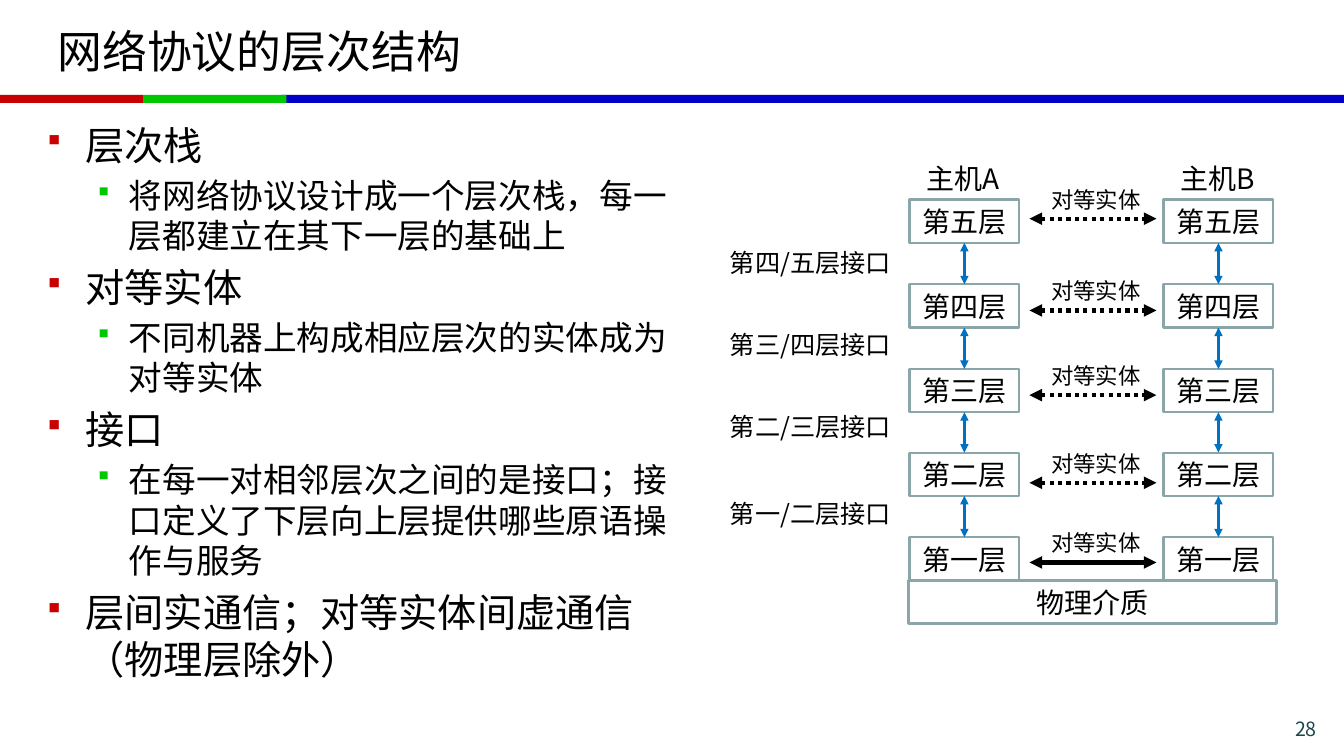
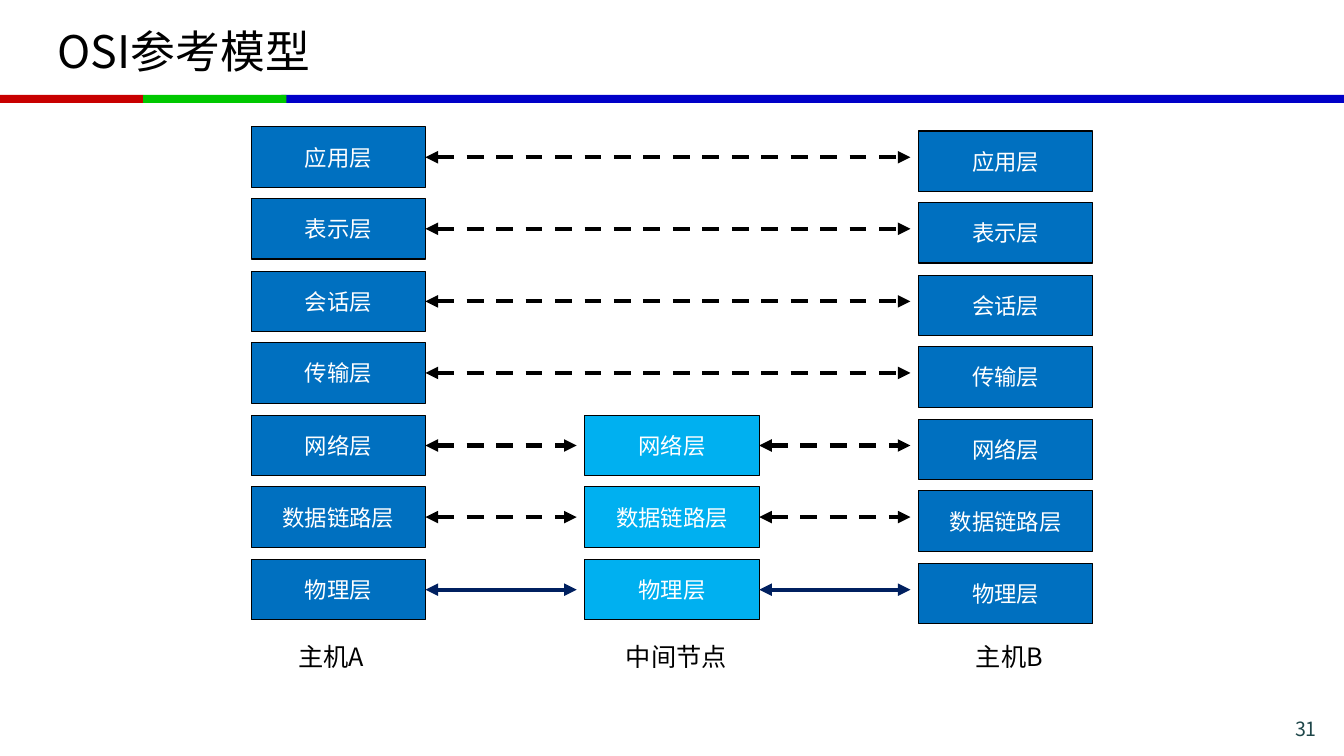
from pptx import Presentation
from pptx.dml.color import RGBColor as RGB
from pptx.enum.dml import MSO_LINE as Dash
from pptx.enum.shapes import MSO_CONNECTOR as Conn, MSO_SHAPE as Kind
from pptx.enum.text import MSO_ANCHOR as Anchor, PP_ALIGN as Align
from pptx.oxml.ns import qn
from pptx.util import Emu, Pt
from lxml.etree import SubElement as Sub

PX = 9144
FONT = "Noto Sans CJK SC"
BLACK = RGB(0, 0, 0)
WHITE = RGB(255, 255, 255)
RED = RGB(0xC8, 0, 0)
GREEN = RGB(0, 0xC8, 0)
BLUE = RGB(0, 0, 0xC8)
TEAL = RGB(0x1E, 0x46, 0x49)
GRAY = RGB(0x8A, 0xA6, 0xA8)
AZURE = RGB(0, 0x70, 0xC0)
SKY = RGB(0, 0xB0, 0xF0)
NAVY = RGB(0, 0x20, 0x60)

BANDS = [(279, 1054, BLUE), (0, 142, RED), (142, 142, GREEN)]
LEVELS = [(28, 38, 38, RED), (24, 81, 31, GREEN)]
POINTS = [
    (0, "层次栈"),
    (1, "将网络协议设计成一个层次栈，每一层都建立在其下一层的基础上"),
    (0, "对等实体"),
    (1, "不同机器上构成相应层次的实体成为对等实体"),
    (0, "接口"),
    (1, "在每一对相邻层次之间的是接口；接口定义了下层向上层提供哪些原语操作与服务"),
    (0, "层间实通信；对等实体间虚通信（物理层除外）"),
]
STACK = ["第五层", "第四层", "第三层", "第二层", "第一层"]
PEERS = [217, 308, 392, 479, 558]
JOINTS = [
    (240, "第四/五层接口"),
    (322, "第三/四层接口"),
    (403, "第二/三层接口"),
    (489, "第一/二层接口"),
]
OSI = ["应用层", "表示层", "会话层", "传输层", "网络层", "数据链路层", "物理层"]


def px(*nums):
    return [Emu(round(n * PX)) for n in nums]


def write(para, text, size, color=BLACK, align=Align.LEFT):
    para.alignment = align
    run = para.add_run()
    run.text = text
    font = run.font
    font.size = Pt(size)
    font.color.rgb = color
    font.name = FONT
    Sub(font._element, qn("a:ea"), typeface=FONT)


def label(slide, at, text, size, color=BLACK, align=Align.LEFT):
    frame = slide.shapes.add_textbox(*px(*at)).text_frame
    frame.word_wrap = True
    write(frame.paragraphs[0], text, size, color, align)
    return frame


def block(slide, at, fill, edge=None, width=0):
    shape = slide.shapes.add_shape(Kind.RECTANGLE, *px(*at))
    shape.shadow.inherit = False
    shape.fill.solid()
    shape.fill.fore_color.rgb = fill
    if edge is None:
        shape.line.fill.background()
    else:
        shape.line.color.rgb = edge
        shape.line.width = Pt(width)
    return shape


def node(slide, at, text, size, color, fill, edge, width, wrap=True):
    shape = block(slide, at, fill, edge, width)
    frame = shape.text_frame
    frame.word_wrap = wrap
    frame.vertical_anchor = Anchor.MIDDLE
    write(frame.paragraphs[0], text, size, color, Align.CENTER)
    return shape


def arrow(slide, ends, color, width, dash=None, start=None, stop=None):
    link = slide.shapes.add_connector(Conn.STRAIGHT, *px(*ends))
    if start:
        link.begin_connect(*start)
    if stop:
        link.end_connect(*stop)
    line = link.line
    line.color.rgb = color
    line.width = Pt(width)
    if dash:
        line.dash_style = dash
    props = link._element.spPr
    for tag in ("a:headEnd", "a:tailEnd"):
        Sub(props.find(qn("a:ln")), qn(tag), type="triangle")
    Sub(props, qn("a:effectLst"))


def page(deck, title, number):
    slide = deck.slides.add_slide(deck.slide_layouts[5])
    for left, width, color in BANDS:
        block(slide, (left, 94, width, 8), color)
    head = slide.shapes.title
    head.left, head.top, head.width, head.height = px(47, 8, 1239, 84)
    head.text_frame.vertical_anchor = Anchor.MIDDLE
    write(head.text_frame.paragraphs[0], title, 32)
    label(slide, (1186, 706, 130, 28), number, 14, TEAL, Align.RIGHT)
    return slide


def bullet(para, level):
    size, left, hang, color = LEVELS[level]
    props = para._p.get_or_add_pPr()
    props.set("marL", str(left * PX))
    props.set("indent", str(-hang * PX))
    Sub(Sub(props, qn("a:buClr")), qn("a:srgbClr"), val=str(color))
    Sub(props, qn("a:buSzPct"), val="80000")
    Sub(props, qn("a:buFont"), typeface="Wingdings")
    Sub(props, qn("a:buChar"), char="§")
    return size


def outline(slide):
    frame = slide.shapes.add_textbox(*px(37, 115, 661, 595)).text_frame
    frame.word_wrap = True
    for i, (level, text) in enumerate(POINTS):
        para = frame.add_paragraph() if i else frame.paragraphs[0]
        size = bullet(para, level)
        para.level = level
        if i:
            para.space_before = Pt(size * 0.2)
        write(para, text, size)


def tower(slide, left, host):
    label(slide, (left + 7, 155, 102, 44), host, 20)
    above = None
    for i, text in enumerate(STACK):
        top = round(198 + 83.75 * i)
        box = node(slide, (left, top, 109, 43), text, 20, BLACK, WHITE, GRAY, 1.5)
        if above:
            arrow(slide, (left, top, left, top), AZURE, 2,
                  start=(above, 2), stop=(box, 0))
        above = box


def layers(deck):
    slide = page(deck, "网络协议的层次结构", "28")
    outline(slide)
    tower(slide, 902, "主机A")
    node(slide, (901, 576, 365, 43), "物理介质", 20, BLACK, WHITE, GRAY, 2)
    tower(slide, 1154, "主机B")
    for top, text in JOINTS:
        label(slide, (714, top, 201, 44), text, 18)
    for y in PEERS:
        dash = None if y == PEERS[-1] else Dash.ROUND_DOT
        arrow(slide, (1021, y, 1147, y), BLACK, 3, dash)
        frame = label(slide, (1027, y - 50, 120, 44), "对等实体", 16,
                      align=Align.CENTER)
        frame.margin_left, frame.margin_top = px(4, 4)
        frame.margin_right, frame.margin_bottom = px(4, 4)
        frame.paragraphs[0].line_spacing = 1.5


def column(slide, left, top, fill, first=0):
    return {
        i: node(slide, (left, top + 143 * i // 2, 173, 60), OSI[i], 16,
                WHITE, fill, BLACK, 0.75, False)
        for i in range(first, len(OSI))
    }


def model(deck):
    slide = page(deck, "OSI参考模型", "31")
    host = column(slide, 249, 126, AZURE)
    relay = column(slide, 580, 126, SKY, 4)
    column(slide, 911, 130, AZURE)
    for i, box in host.items():
        y = 156 + 143 * i // 2
        color, dash = (NAVY, None) if i == 6 else (BLACK, Dash.DASH)
        arrow(slide, (422, y, 572 if i in relay else 903, y), color, 3, dash,
              start=(box, 3))
        if i in relay:
            arrow(slide, (753, y, 903, y), color, 3, dash, start=(relay[i], 3))
    for left, width, text in [(286, 89, "主机A"), (611, 121, "中间节点"),
                              (958, 88, "主机B")]:
        label(slide, (left, 631, width, 40), text, 18)


def main():
    """Build the two slides on network layers."""
    deck = Presentation()
    deck.slide_width, deck.slide_height = px(1333, 750)
    layers(deck)
    model(deck)
    deck.save("out.pptx")


if __name__ == "__main__":
    main()
